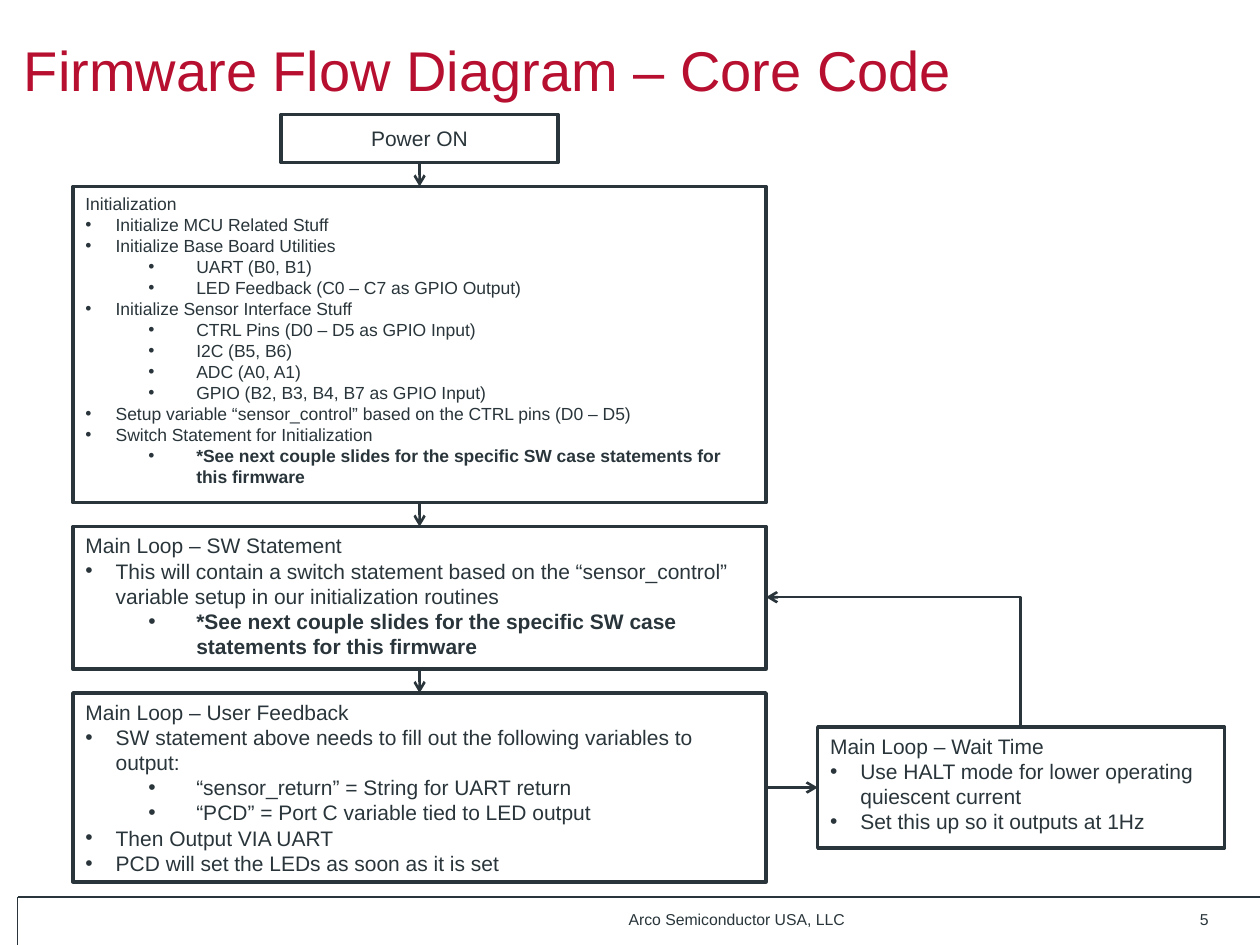
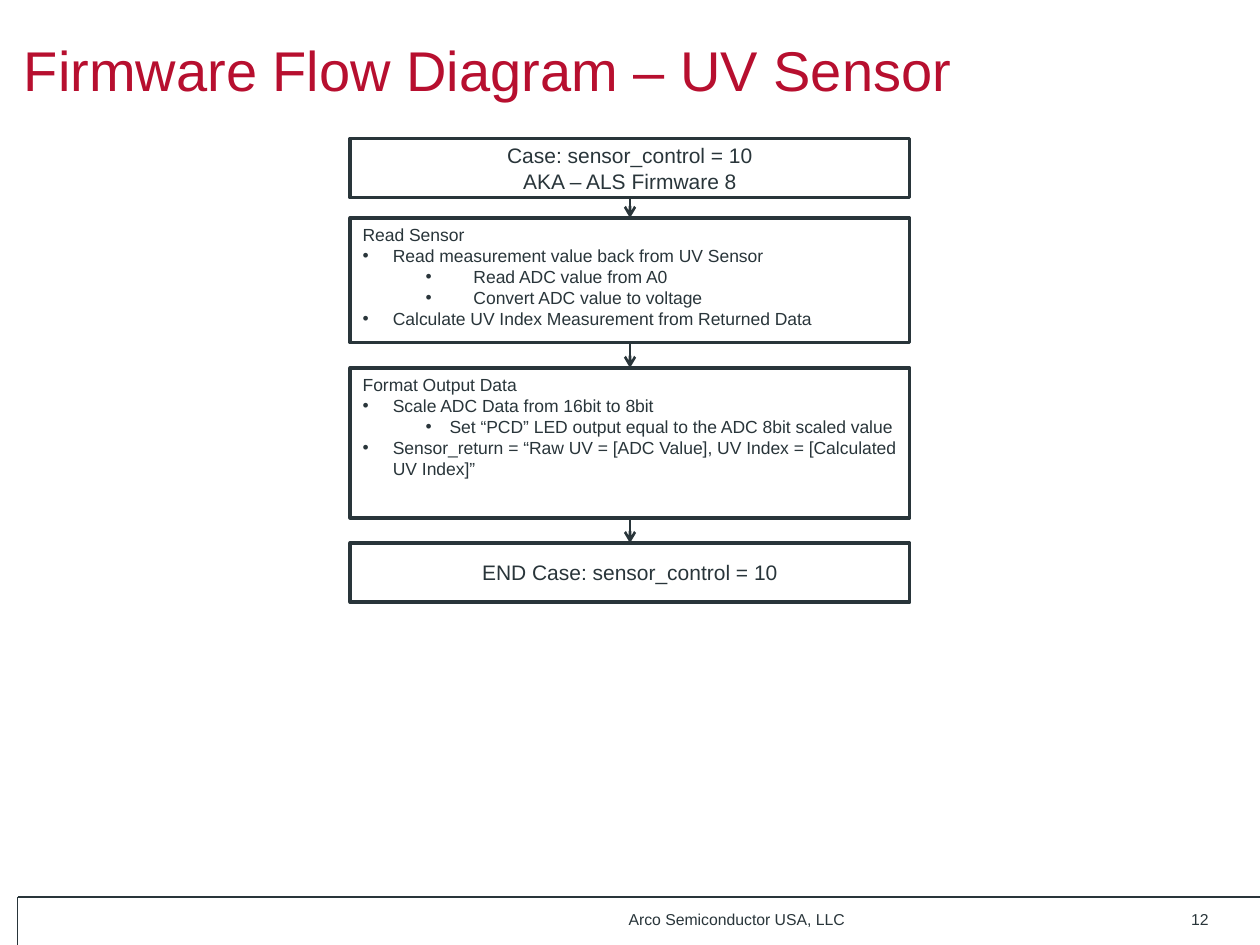
from lxml.etree import SubElement as Sub
from pptx import Presentation
from pptx.dml.color import RGBColor
from pptx.enum.shapes import MSO_CONNECTOR as Link, MSO_SHAPE as Shape
from pptx.enum.text import MSO_ANCHOR as Anchor, PP_ALIGN as Align
from pptx.oxml.ns import qn
from pptx.util import Inches, Pt

RED = RGBColor(0xB7, 0x0F, 0x2F)
INK = RGBColor(0x29, 0x35, 0x3A)
WHITE = RGBColor(0xFF, 0xFF, 0xFF)
FONT = "Arial"
OWNER = "Arco Semiconductor USA, LLC"
NOTE = "*See next couple slides for the specific SW case statements for this firmware"
TOP, LEFT, BOTTOM, RIGHT = range(4)
ITEM = (0.24, -0.24)
DEEP = (0.88, -0.38)
NEAR = (0.69, -0.19)

START = ["Power ON"]
INIT = [
    "Initialization",
    (ITEM, "Initialize MCU Related Stuff"),
    (ITEM, "Initialize Base Board Utilities"),
    (DEEP, "UART (B0, B1)"),
    (DEEP, "LED Feedback (C0 – C7 as GPIO Output)"),
    (ITEM, "Initialize Sensor Interface Stuff"),
    (DEEP, "CTRL Pins (D0 – D5 as GPIO Input)"),
    (DEEP, "I2C (B5, B6)"),
    (DEEP, "ADC (A0, A1)"),
    (DEEP, "GPIO (B2, B3, B4, B7 as GPIO Input)"),
    (ITEM, "Setup variable “sensor_control” based on the CTRL pins (D0 – D5)"),
    (ITEM, "Switch Statement for Initialization"),
    (DEEP, NOTE),
]
SWITCH = [
    "Main Loop – SW Statement",
    (ITEM, "This will contain a switch statement based on the “sensor_control” "
           "variable setup in our initialization routines"),
    (DEEP, NOTE),
]
REPORT = [
    "Main Loop – User Feedback",
    (ITEM, "SW statement above needs to fill out the following variables to output:"),
    (DEEP, "“sensor_return” = String for UART return"),
    (DEEP, "“PCD” = Port C variable tied to LED output"),
    (ITEM, "Then Output VIA UART"),
    (ITEM, "PCD will set the LEDs as soon as it is set"),
]
WAIT = [
    "Main Loop – Wait Time",
    (ITEM, "Use HALT mode for lower operating quiescent current"),
    (ITEM, "Set this up so it outputs at 1Hz"),
]
CASE = ["Case: sensor_control = 10", "AKA – ALS Firmware 8"]
READ = [
    "Read Sensor",
    (ITEM, "Read measurement value back from UV Sensor"),
    (DEEP, "Read ADC value from A0"),
    (DEEP, "Convert ADC value to voltage"),
    (ITEM, "Calculate UV Index Measurement from Returned Data"),
]
FORMAT = [
    "Format Output Data",
    (ITEM, "Scale ADC Data from 16bit to 8bit"),
    (NEAR, "Set “PCD” LED output equal to the ADC 8bit scaled value"),
    (ITEM, "Sensor_return = “Raw UV = [ADC Value], UV Index = [Calculated UV Index]”"),
]
FINISH = ["END Case: sensor_control = 10"]


def apply(item, values):
    for name, value in values.items():
        setattr(item, name, value)


def place(item, area):
    apply(item, dict(zip(("left", "top", "width", "height"), map(Inches, area))))


def style(run, size, color=INK, bold=False):
    apply(run.font, {"name": FONT, "size": Pt(size), "bold": bold})
    run.font.color.rgb = color


def bullet(para, indent):
    props = para._p.get_or_add_pPr()
    for name, value in zip(("marL", "indent"), indent):
        props.set(name, str(Inches(value)))
    if indent != ITEM:
        para.level = 1
    color = Sub(props, qn("a:buClr"))
    Sub(color, qn("a:srgbClr"), val=str(INK))
    Sub(props, qn("a:buFont"), typeface=FONT)
    Sub(props, qn("a:buChar"), char="•")


def write(frame, rows, size, align=Align.LEFT, anchor=Anchor.TOP):
    apply(frame, {"word_wrap": True, "vertical_anchor": anchor})
    for index, row in enumerate(rows):
        indent, text = (None, row) if isinstance(row, str) else row
        para = frame.add_paragraph() if index else frame.paragraphs[0]
        para.alignment = align
        if indent:
            bullet(para, indent)
        run = para.add_run()
        run.text = text
        style(run, size, bold=text.startswith("*"))


def label(slide, area, text, align):
    box = slide.shapes.add_textbox(*map(Inches, area))
    write(box.text_frame, [text], 9, align)


def panel(slide, area, rows, size=12, **layout):
    box = slide.shapes.add_shape(Shape.RECTANGLE, *map(Inches, area))
    box.shadow.inherit = False
    box.fill.solid()
    box.fill.fore_color.rgb = WHITE
    box.line.color.rgb = INK
    box.line.width = Pt(2)
    write(box.text_frame, rows, size, **layout)
    return box


def banner(slide, area, rows):
    return panel(slide, area, rows, align=Align.CENTER, anchor=Anchor.MIDDLE)


def rule(slide, ends, width, kind=Link.STRAIGHT, arrow=False):
    line = slide.shapes.add_connector(kind, *map(Inches, ends))
    line.line.color.rgb = INK
    line.line.width = Pt(width)
    if arrow:
        Sub(line.line._get_or_add_ln(), qn("a:tailEnd"), type="arrow")
    Sub(line._element.spPr, qn("a:effectLst"))
    return line


def join(slide, first, second, out=BOTTOM, into=TOP):
    line = rule(slide, (0, 0, 1, 1), 1.5, arrow=True)
    line.begin_connect(first, out)
    line.end_connect(second, into)


def chain(slide, boxes):
    for first, second in zip(boxes, boxes[1:]):
        join(slide, first, second)


def loop(slide, start, end):
    (x1, y1), (x2, y2) = start, end
    mid_x, mid_y = (x1 + x2) / 2, (y1 + y2) / 2
    dx, dy = (y1 - y2) / 2, (x1 - x2) / 2
    ends = (mid_x - dx, mid_y + dy, mid_x + dx, mid_y - dy)
    line = rule(slide, ends, 1.5, Link.ELBOW, arrow=True)
    props = line._element.spPr
    props.find(qn("a:xfrm")).set("rot", str(270 * 60000))
    props.find(qn("a:prstGeom")).set("prst", "bentConnector2")


def page(deck, title, number):
    slide = deck.slides.add_slide(deck.slide_layouts[5])
    rule(slide, (0.14, 7.12, 10, 7.12), 0.75)
    rule(slide, (0.14, 7.12, 0.14, 7.5), 0.75)
    head = slide.shapes.title
    place(head, (0.09, 0, 8.85, 1.09))
    apply(head.text_frame, {"word_wrap": True, "vertical_anchor": Anchor.MIDDLE})
    para = head.text_frame.paragraphs[0]
    para.alignment = Align.LEFT
    run = para.add_run()
    run.text = title
    style(run, 32, RED)
    label(slide, (4.89, 7.17, 2.22, 0.33), OWNER, Align.LEFT)
    label(slide, (8.77, 7.17, 0.92, 0.33), str(number), Align.RIGHT)
    return slide


def core(deck):
    slide = page(deck, "Firmware Flow Diagram – Core Code", 5)
    left, width = 0.58, 5.5
    start = banner(slide, (2.23, 0.91, 2.2, 0.38), START)
    init = panel(slide, (left, 1.48, width, 2.51), INIT, 10)
    switch = panel(slide, (left, 4.18, width, 1.13), SWITCH)
    report = panel(slide, (left, 5.5, width, 1.5), REPORT)
    wait = panel(slide, (6.49, 5.77, 3.23, 0.96), WAIT)
    chain(slide, [start, init, switch, report])
    join(slide, report, wait, RIGHT, LEFT)
    loop(slide, (8.1, 5.77), (left + width, 4.74))


def sensor(deck):
    slide = page(deck, "Firmware Flow Diagram – UV Sensor", 12)
    left, width = 2.78, 4.44
    chain(slide, [
        banner(slide, (left, 1.1, width, 0.47), CASE),
        panel(slide, (left, 1.73, width, 0.99), READ, 10),
        panel(slide, (left, 2.92, width, 1.19), FORMAT, 10),
        banner(slide, (left, 4.31, width, 0.47), FINISH),
    ])


def main():
    deck = Presentation()
    apply(deck, {"slide_width": Inches(10), "slide_height": Inches(7.5)})
    core(deck)
    sensor(deck)
    deck.save("out.pptx")


if __name__ == "__main__":
    main()
